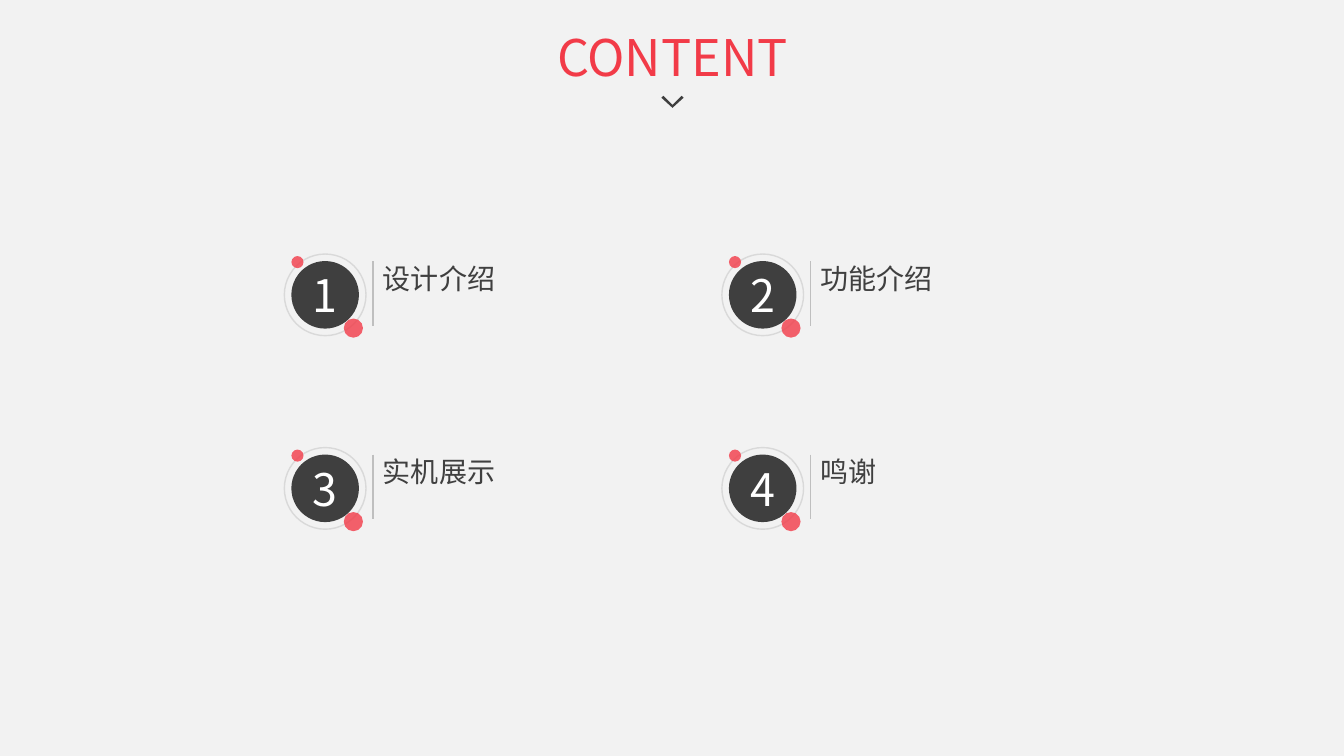
from lxml import etree
from pptx import Presentation
from pptx.dml.color import RGBColor
from pptx.enum.shapes import MSO_CONNECTOR, MSO_SHAPE
from pptx.enum.text import MSO_ANCHOR, MSO_AUTO_SIZE, PP_ALIGN
from pptx.oxml.ns import qn
from pptx.util import Inches, Pt

OVAL = MSO_SHAPE.OVAL
LINE = MSO_CONNECTOR.STRAIGHT
MIDDLE = MSO_ANCHOR.MIDDLE
FIXED = MSO_AUTO_SIZE.NONE
CENTER, JUSTIFY = PP_ALIGN.CENTER, PP_ALIGN.JUSTIFY

PAPER = RGBColor(0xF2, 0xF2, 0xF2)
RED = RGBColor(0xF2, 0x3B, 0x48)
DARK = RGBColor(0x3F, 0x3F, 0x3F)
INK = RGBColor(0x40, 0x40, 0x40)
RING = RGBColor(0xD9, 0xD9, 0xD9)
RULE = RGBColor(0xBF, 0xBF, 0xBF)
WHITE = RGBColor(0xFF, 0xFF, 0xFF)
FONT = "Noto Sans CJK SC"


def write(shape, text, size, color, align, wrap=True, **inset):
    frame = shape.text_frame
    frame.text = text
    form = {"word_wrap": wrap, "auto_size": FIXED, "vertical_anchor": MIDDLE, **inset}
    for key, value in form.items():
        setattr(frame, key, value)
    para = frame.paragraphs[0]
    para.alignment = align
    font = para.runs[0].font
    for key, value in {"name": FONT, "size": Pt(size), "bold": False}.items():
        setattr(font, key, value)
    font.color.rgb = color
    props = para.runs[0]._r.get_or_add_rPr()
    etree.SubElement(props, qn("a:ea"), typeface=FONT)


def disc(shapes, left, top, size, color=None, alpha=None):
    shape = shapes.add_shape(OVAL, Inches(left), Inches(top), Inches(size), Inches(size))
    shape.shadow.inherit = False
    if color is None:
        shape.fill.background()
        shape.line.color.rgb = RING
        shape.line.width = Pt(1)
        return shape
    shape.fill.solid()
    shape.fill.fore_color.rgb = color
    shape.line.fill.background()
    if alpha:
        tint = shape._element.spPr.find(qn("a:solidFill"))[0]
        etree.SubElement(tint, qn("a:alpha"), val=str(alpha * 1000))
    return shape


deck = Presentation()
deck.slide_width, deck.slide_height = Inches(13.33), Inches(7.5)
slide = deck.slides.add_slide(deck.slide_layouts[5])
slide.background.fill.solid()
slide.background.fill.fore_color.rgb = PAPER

title = slide.shapes.title
place = {"left": 5.24, "top": 0.2, "width": 2.86, "height": 0.71}
for key, value in place.items():
    setattr(title, key, Inches(value))
write(title, "CONTENT", 36, RED, CENTER)

topics = ["设计介绍", "功能介绍", "实机展示", "鸣谢"]
for index, topic in enumerate(topics):
    row, col = divmod(index, 2)
    x = 2.82 + col * 4.34
    y = 2.52 + row * 1.92
    group = slide.shapes.add_group_shape()
    group.name = f"Topic {index + 1}"
    parts = group.shapes

    badge = disc(parts, x + 0.07, y + 0.07, 0.67, DARK)
    write(badge, str(index + 1), 32, WHITE, CENTER, False,
          margin_left=0, margin_right=0, margin_top=0, margin_bottom=0)
    disc(parts, x, y, 0.81)
    disc(parts, x + 0.59, y + 0.64, 0.19, RED, 80)
    disc(parts, x + 0.07, y + 0.02, 0.12, RED, 80)

    label = parts.add_textbox(Inches(x + 0.88), Inches(y + 0.02), Inches(2.47), Inches(0.44))
    write(label, topic, 20, INK, JUSTIFY)

    rule = parts.add_connector(LINE, Inches(x + 0.88), Inches(y + 0.07),
                               Inches(x + 0.88), Inches(y + 0.71))
    rule.line.color.rgb = RULE
    rule.line.width = Pt(1)
    etree.SubElement(rule._element.spPr, qn("a:effectLst"))

points = [(6.76, 0.95), (6.78, 0.97), (6.67, 1.07), (6.56, 0.97), (6.58, 0.95), (6.67, 1.04)]
start, *rest = [(Inches(x), Inches(y)) for x, y in points]
pen = slide.shapes.build_freeform(*start)
pen.add_line_segments(rest, close=True)
arrow = pen.convert_to_shape()
arrow.shadow.inherit = False
arrow.fill.solid()
arrow.fill.fore_color.rgb = DARK
arrow.line.fill.background()

deck.save("out.pptx")
